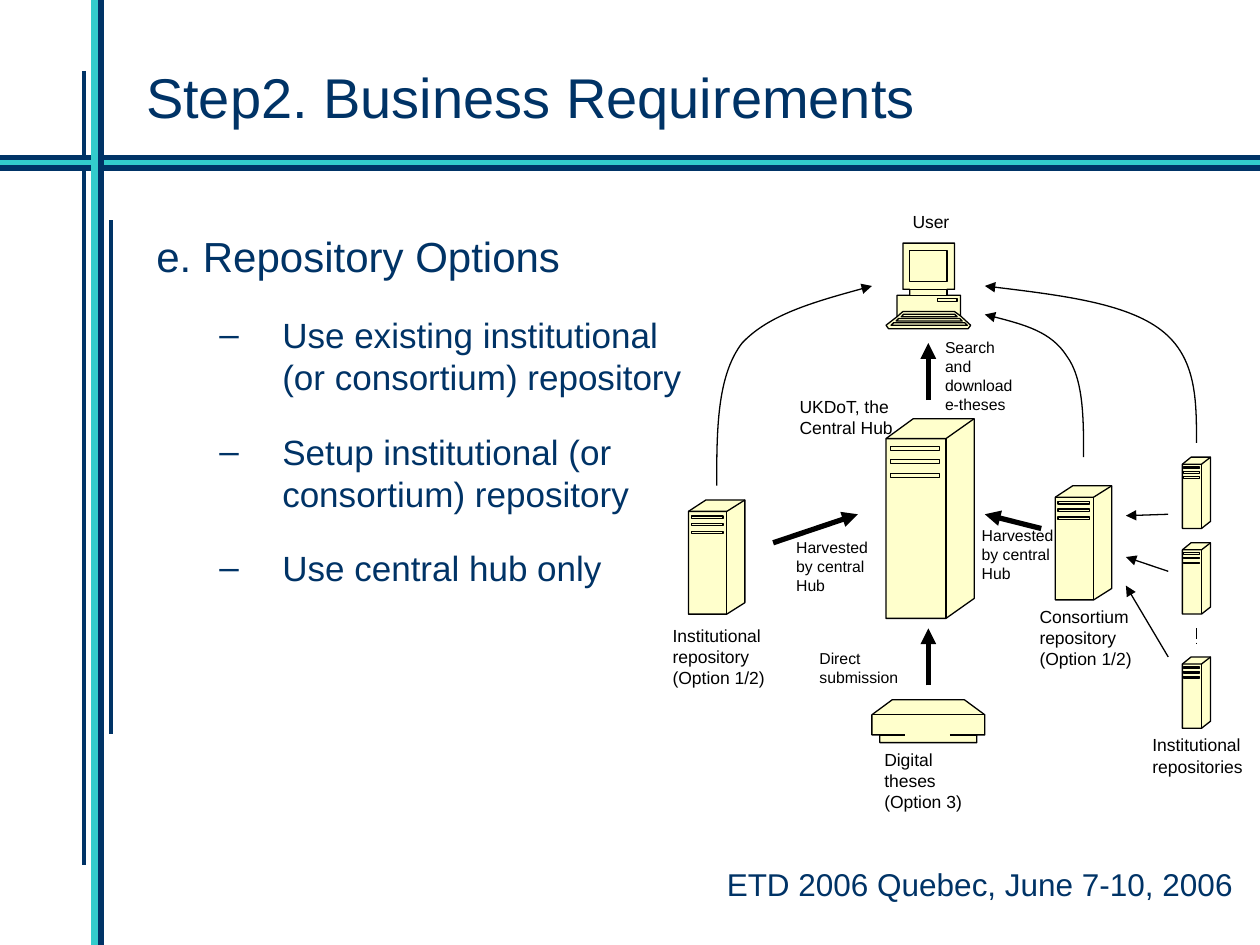
from dataclasses import dataclass

from lxml import etree
from pptx import Presentation
from pptx.dml.color import RGBColor
from pptx.enum.dml import MSO_LINE_DASH_STYLE as Dash
from pptx.enum.shapes import MSO_CONNECTOR as Connector
from pptx.enum.text import MSO_ANCHOR as Anchor, MSO_AUTO_SIZE as AutoSize, PP_ALIGN as Align
from pptx.oxml.ns import qn
from pptx.util import Inches, Pt

NAVY = RGBColor(0x00, 0x33, 0x66)
TEAL = RGBColor(0x33, 0xCC, 0xCC)
CREAM = RGBColor(0xFF, 0xFF, 0xCC)
BLACK = RGBColor(0, 0, 0)
FONT = "Arial"


@dataclass
class Box:
    """A region in inches, cut into columns and rows (one of each: shares)."""
    left: float
    top: float
    width: float
    height: float
    cols: int = 1
    rows: int = 1

    def point(self, x, y):
        return (Inches(self.left + x * self.width / self.cols),
                Inches(self.top + y * self.height / self.rows))

    def area(self, x, y, w, h):
        cell_w, cell_h = self.width / self.cols, self.height / self.rows
        return Box(self.left + x * cell_w, self.top + y * cell_h, w * cell_w, h * cell_h)

    def place(self, shape):
        shape.left, shape.top = Inches(self.left), Inches(self.top)
        shape.width, shape.height = Inches(self.width), Inches(self.height)


PAGE = Box(0, 0, 10, 7.5)
DIAGRAM = Box(5.24, 1.59, 4.48, 4.53, 40, 40)


# Drawing helpers
def style_line(line, color, width, head=None):
    line.color.rgb = color
    line.width = Pt(width)
    if head:
        etree.SubElement(line._get_or_add_ln(), qn(f"a:{head}"), type="triangle")


def add_line(slide, box, start, end, color=BLACK, width=0.75, head=None):
    line = slide.shapes.add_connector(Connector.STRAIGHT, *box.point(*start), *box.point(*end))
    style_line(line.line, color, width, head)
    etree.SubElement(line._element.spPr, qn("a:effectLst"))
    return line


def add_outline(slide, box, contours, fill=None, head=None):
    builder = None
    for contour in contours:
        first, *others = [box.point(*p) for p in contour]
        if builder is None:
            builder = slide.shapes.build_freeform(*first)
        else:
            builder.move_to(*first)
        builder.add_line_segments(others, close=fill is not None)
    outline = builder.convert_to_shape()
    outline.shadow.inherit = False
    if fill is None:
        outline.fill.background()
    else:
        outline.fill.solid()
        outline.fill.fore_color.rgb = fill
    style_line(outline.line, BLACK, 0.75, head)
    return outline


def add_curve(slide, box, points):
    """Arrow through Bezier points, each three after the first making one arc."""
    curve = add_outline(slide, box, [points], head="headEnd")
    segments = list(curve._element.iter(qn("a:lnTo")))
    for i in range(0, len(segments), 3):
        arc = segments[i]
        arc.tag = qn("a:cubicBezTo")
        for segment in segments[i + 1:i + 3]:
            arc.append(segment[0])
            segment.getparent().remove(segment)


def rectangle(left, top, right, bottom):
    return [(left, top), (right, top), (right, bottom), (left, bottom), (left, top)]


def add_text(slide, box, text, size, color=BLACK):
    label = slide.shapes.add_textbox(0, 0, 0, 0)
    box.place(label)
    label.text_frame.word_wrap = True
    label.text_frame.text = text
    for paragraph in label.text_frame.paragraphs:
        set_font(paragraph, size, color)


def set_font(paragraph, size, color):
    paragraph.font.name = FONT
    paragraph.font.size = Pt(size)
    paragraph.font.color.rgb = color


# Icons, drawn in shares of their box
def add_server(slide, box):
    add_outline(slide, box, [[(0, .1), (.31, 0), (1, 0), (1, .9), (.68, 1), (0, 1)]], CREAM)
    slots = [rectangle(.05, y, .61, y + .02) for y in (.14, .205, .275)]
    add_outline(slide, box, [[(0, .1), (.68, .1), (1, 0)], [(.68, .1), (.68, 1)], *slots])


def add_computer(slide, box):
    add_outline(slide, box, [[
        (.2, 0), (.81, 0), (.81, .54), (.72, .54), (.72, .61), (.88, .61), (.88, .85),
        (1, .96), (.97, 1), (.03, 1), (0, .96), (.13, .86), (.13, .61), (.28, .61),
        (.28, .54), (.2, .54)]], CREAM)
    screen, neck, drive = (rectangle(.28, .09, .72, .45), rectangle(.28, .54, .72, .61),
                           rectangle(.61, .65, .84, .68))
    keys = [[(x, y + .03), (x + .03, y), (.99 - x, y), (1.02 - x, y + .03), (x, y + .03)]
            for x, y in ((.18, .83), (.12, .88), (.06, .93))]
    add_outline(slide, box, [screen, neck, drive, *keys,
                             [(.13, .86), (.2, .8), (.81, .8), (.88, .85)]])


def add_scanner(slide, box):
    add_outline(slide, box, [[
        (0, .35), (.18, 0), (.82, 0), (1, .35), (1, .82), (.93, .82), (.93, 1),
        (.07, 1), (.07, .82), (0, .82)]], CREAM)
    add_outline(slide, box, [[(0, .35), (1, .35)], [(.07, .82), (.29, .82)],
                             [(.69, .82), (.93, .82)]])


# Regions of the slide
def add_frame(slide, box):
    add_line(slide, box, (.067, .075), (.067, .915), NAVY, 2.25)
    for y, color in ((.168, NAVY), (.173, TEAL), (.178, NAVY)):
        add_line(slide, box, (0, y), (1, y), color, 3.75)
    for x, color in ((.08, NAVY), (.075, TEAL)):
        add_line(slide, box, (x, 0), (x, 1), color, 3.75)
    add_line(slide, box, (.088, .233), (.088, .777), NAVY, 2.25)
    add_text(slide, box.area(.567, .909, .433, .053), "ETD 2006 Quebec, June 7-10, 2006", 18, NAVY)


def fill_placeholder(placeholder, box, lines):
    box.place(placeholder)
    frame = placeholder.text_frame
    frame.text = "\n".join(lines)
    frame.vertical_anchor = Anchor.TOP
    frame.word_wrap = True
    frame.auto_size = AutoSize.NONE
    for paragraph in frame.paragraphs:
        paragraph.alignment = Align.LEFT
    return frame.paragraphs


def add_title(slide, box):
    [title] = fill_placeholder(slide.shapes.title, box, ["Step2. Business Requirements"])
    set_font(title, 32, NAVY)


def add_options(slide, box):
    heading, *options = fill_placeholder(slide.placeholders[1], box, [
        "e. Repository Options", "Use existing institutional (or consortium) repository",
        "Setup institutional (or consortium) repository", "Use central hub only"])
    set_font(heading, 24, NAVY)
    heading.space_before = Pt(0)
    set_bullet(heading, .58, -.58)
    for option in options:
        option.level = 1
        set_font(option, 20, NAVY)
        option.space_before = Pt(18.7)
        set_bullet(option, 1, -.5, "–")


def set_bullet(paragraph, margin, indent, char=None):
    props = paragraph._p.get_or_add_pPr()
    props.set("marL", str(Inches(margin)))
    props.set("indent", str(Inches(indent)))
    bullet = etree.Element(qn("a:buChar"), char=char) if char else etree.Element(qn("a:buNone"))
    props.find(qn("a:defRPr")).addprevious(bullet)


def add_diagram(slide, grid):
    # Arrows to and from the hub, then from the institutions to the consortium
    for start, end in (((8, 24), (14, 22)), ((19, 34), (19, 30)),
                       ((19, 14), (19, 10)), ((27, 23), (23, 22))):
        add_line(slide, grid, start, end, width=3, head="tailEnd")
    for start, end in (((36, 32), (33, 27)), ((36, 22), (33, 22.1)), ((36, 26), (33, 25))):
        add_line(slide, grid, start, end, head="tailEnd")
    add_line(slide, grid, (38, 30), (38, 31)).line.dash_style = Dash.LONG_DASH

    # Curved arrows to the user
    for points in (
            [(15, 6), (11.3, 7), (7.7, 8), (5.8, 10), (4, 12.3), (4, 16.2), (4, 20)],
            [(23, 8), (25.4, 8.6), (27.7, 9.2), (28.8, 10.9), (30, 12.5), (30, 15.3), (30, 18)],
            [(23, 6), (28, 6.6), (33, 7.2), (35.5, 9.1), (38, 11), (38, 14), (38, 17)]):
        add_curve(slide, grid, points)

    # Hub, repositories, user and submission
    for cells in ((16, 15.3, 6.25, 14), (2, 21, 4, 8), (28, 20, 4, 8),
                  (37, 24, 2, 5), (37, 18, 2, 5), (37, 32, 2, 5)):
        add_server(slide, grid.area(*cells))
    add_computer(slide, grid.area(16, 3, 6, 6))
    add_scanner(slide, grid.area(15, 35, 8, 3))

    # Labels
    for x, y, w, h, text, size in (
            (9, 13.3, 9, 4, "UKDoT, the Central Hub", 10),
            (0, 29.3, 9, 6, "Institutional repository (Option 1/2)", 10),
            (26, 28, 9, 5.3, "Consortium repository\n(Option 1/2)", 10),
            (17, .3, 5, 3, "User", 10),
            (15, 38, 9, 4, "Digital theses (Option 3)", 10),
            (34, 37, 9, 5, "Institutional repositories", 10),
            (10.4, 31, 8.7, 4, "Direct submission", 9),
            (8.75, 23.2, 7, 5, "Harvested by central Hub", 9),
            (21.9, 22.4, 7, 5, "Harvested by central Hub", 9),
            (19.3, 9.2, 7, 5, "Search and download e-theses", 9)):
        add_text(slide, grid.area(x, y, w, h), text, size)


def main():
    deck = Presentation()
    deck.slide_width, deck.slide_height = Inches(PAGE.width), Inches(PAGE.height)
    slide = deck.slides.add_slide(deck.slide_layouts[1])
    add_frame(slide, PAGE)
    add_title(slide, PAGE.area(.106, .059, .852, .167))
    add_options(slide, PAGE.area(.114, .237, .449, .66))
    add_diagram(slide, DIAGRAM)
    deck.save("out.pptx")


if __name__ == "__main__":
    main()
